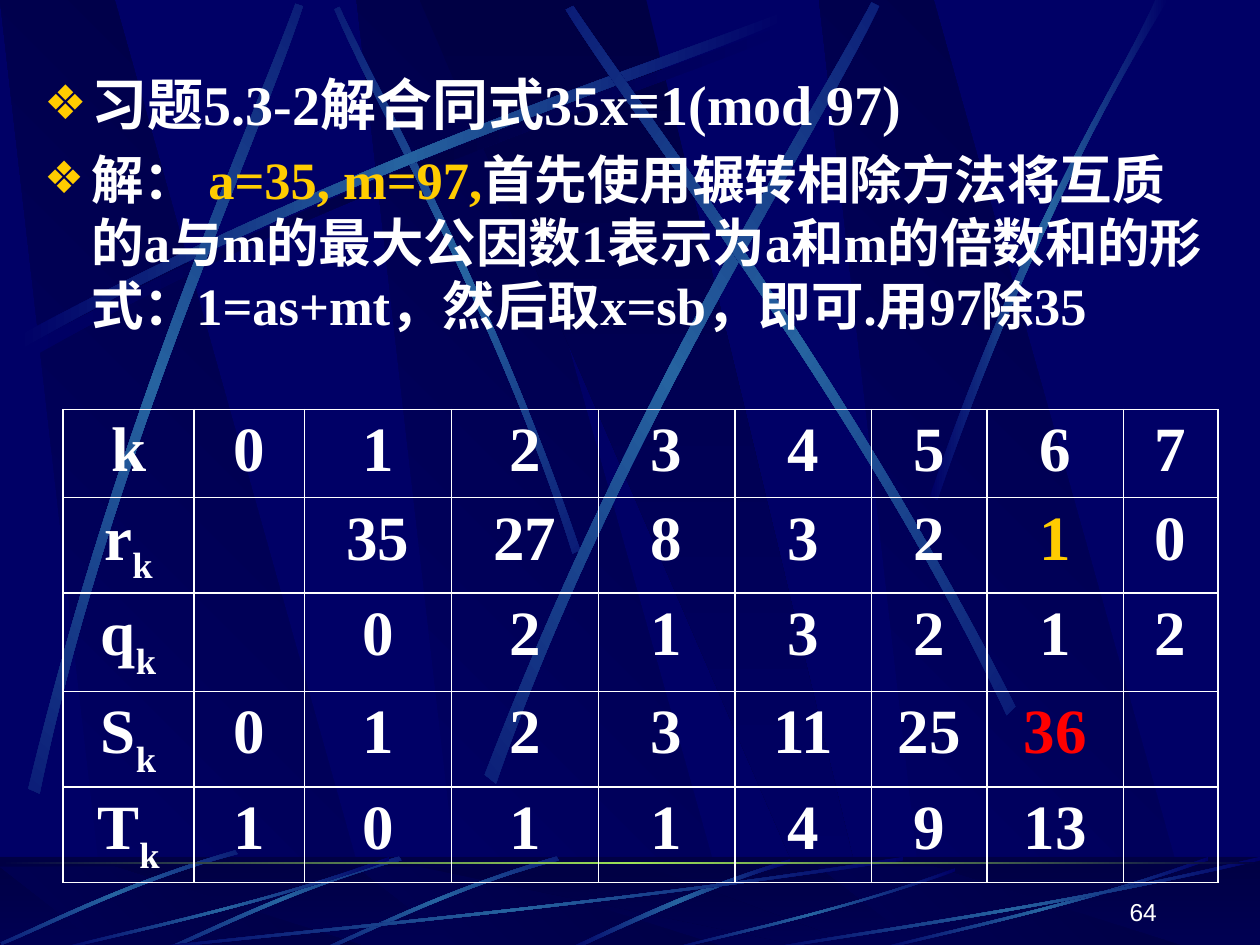
from math import cos, radians, sin

from lxml.etree import SubElement
from pptx import Presentation
from pptx.dml.color import RGBColor
from pptx.enum.shapes import MSO_SHAPE
from pptx.enum.text import MSO_ANCHOR, PP_ALIGN
from pptx.oxml import parse_xml
from pptx.oxml.ns import nsdecls, qn
from pptx.util import Inches, Pt

NAVY = RGBColor(0x00, 0x00, 0x66)
MIDNIGHT = RGBColor(0x00, 0x00, 0x44)
STEEL = RGBColor(0x26, 0x63, 0xA0)
LIME = RGBColor(0x9C, 0xE1, 0x57)
WHITE = RGBColor(0xFF, 0xFF, 0xFF)
GOLD = RGBColor(0xFF, 0xCC, 0x00)
RED = RGBColor(0xFF, 0x00, 0x00)

prs = Presentation()
prs.slide_width, prs.slide_height = Inches(10), Inches(7.5)
slide = prs.slides.add_slide(prs.slide_layouts[1])
prs.slide_master.background.fill.solid()
prs.slide_master.background.fill.fore_color.rgb = NAVY
slide.shapes.title.element.getparent().remove(slide.shapes.title.element)
exercise = slide.placeholders[1]
backdrop = slide.shapes.add_group_shape()


def paint(shape, colors, angle=0):
    shape.shadow.inherit = False
    shape.line.fill.background()
    shape.fill.background()
    step = 100000 // (len(colors) - 1)
    stops = "".join(
        f'<a:gs pos="{i * step}"><a:srgbClr val="{color}"/></a:gs>'
        for i, color in enumerate(colors)
    )
    properties = shape.element.spPr
    properties.replace(properties.find(qn("a:noFill")), parse_xml(
        f'<a:gradFill rotWithShape="1" {nsdecls("a")}><a:gsLst>{stops}</a:gsLst>'
        f'<a:lin ang="{angle * 60000}" scaled="1"/></a:gradFill>'))


def draw_outline(points, rotation=0):
    xs, ys = zip(*points)
    center_x, center_y = (min(xs) + max(xs)) / 2, (min(ys) + max(ys)) / 2
    c, s = cos(radians(rotation)), sin(radians(rotation))
    level = [
        (Inches(center_x + (x - center_x) * c + (y - center_y) * s),
         Inches(center_y - (x - center_x) * s + (y - center_y) * c))
        for x, y in points
    ]
    builder = backdrop.shapes.build_freeform(*level[0])
    builder.add_line_segments(level[1:], close=True)
    outline = builder.convert_to_shape()
    outline.rotation = rotation
    return outline


wide_arc = [(0.14, 2.67), (2.78, 1.25), (5.18, 0.51), (6.2, 0.1),
            (6.23, 0.16), (5.22, 0.61), (2.48, 1.43), (0.17, 2.77)]
upper_streaks = [
    (MIDNIGHT, 0, [(x + 0.06, y + 0.08) for x, y in wide_arc]),
    (STEEL, 45, [(4.6, 4.36), (3.91, 2.34), (3.02, 0.77), (2.69, 0.05),
                 (2.65, 0.07), (2.95, 0.79), (3.98, 2.58), (4.54, 4.39)]),
    (STEEL, 0, wide_arc),
    (STEEL, 311.7, [(0.23, 6.25), (0.93, 3.34), (1.97, 1.05), (2.35, 0.02),
                    (2.41, 0.04), (2.07, 1.09), (0.86, 3.68), (0.32, 6.29)]),
    (STEEL, 321.6, [(3.85, 6.14), (4.98, 3.2), (6.38, 1.02), (6.92, 0.01),
                    (6.98, 0.04), (6.49, 1.08), (4.86, 3.55), (3.94, 6.21)]),
    (STEEL, 34.7, [(8.06, 5.6), (6.7, 2.93), (5.16, 0.95), (4.55, 0.04),
                   (4.49, 0.07), (5.07, 1.01), (6.85, 3.25), (7.99, 5.67)]),
    (STEEL, 0, [(7.38, 3.94), (8.14, 1.73), (8.88, 0.66), (9.17, 0),
                (9.27, 0), (8.36, 1.45), (7.69, 3.22), (7.44, 3.97)]),
]

short_arc = [(4.42, 6.8), (3.55, 7.05), (2.87, 7.4), (2.56, 7.53),
             (2.57, 7.55), (2.88, 7.43), (3.65, 7.03), (4.44, 6.83)]
flat_arc = [(1, 0.04), (0.57, 0.57), (0.17, 0.85), (0.01, 1),
            (0, 0.99), (0.17, 0.81), (0.62, 0.51), (1, 0)]
lower_streaks = [
    (STEEL, 0, [(6.27, 6.82), (5.37, 7.09), (4.77, 7.42), (4.48, 7.54),
                (4.53, 7.55), (4.9, 7.38), (5.71, 7), (6.28, 6.85)]),
]
for shift, lift in [(0, 0), (1.25, 0), (2.55, 0.05)]:
    lower_streaks.append((STEEL, 315, [(x - shift, y - lift) for x, y in short_arc]))
for left, top, width in [(1, 6.8, 6.17), (0.42, 6.8, 2.67), (5.27, 6.89, 2.31),
                         (6.92, 6.8, 2.67), (6, 6.8, 4)]:
    lower_streaks.append(
        (STEEL, 0, [(left + x * width, top + y * (7.55 - top)) for x, y in flat_arc]))

for top, bottom, streaks in [(0, 7.52, upper_streaks), (6.88, 7.55, lower_streaks)]:
    if top:
        floor = backdrop.shapes.add_shape(
            MSO_SHAPE.RECTANGLE, 0, Inches(6.8), Inches(10), Inches(0.75))
        paint(floor, [MIDNIGHT, NAVY], 90)
    for left in (2.83, 0, 6.5):
        panel = draw_outline([(left + 0.86, bottom), (left + 3.02, bottom),
                              (left + 0.91, top), (left, top)])
        paint(panel, [NAVY, MIDNIGHT], 315)
    middle_panel = draw_outline([(3.33, top), (6.58, bottom), (6.94, bottom), (5.13, top)])
    paint(middle_panel, [MIDNIGHT, NAVY], 90)
    if top:
        shade = backdrop.shapes.add_shape(
            MSO_SHAPE.RECTANGLE, 0, Inches(6.8), Inches(10), Inches(0.75))
        shade.shadow.inherit = False
        shade.line.fill.background()
        shade.fill.solid()
        shade.fill.fore_color.rgb = MIDNIGHT
        shade_color = shade.element.spPr.find(qn("a:solidFill"))[0]
        SubElement(shade_color, qn("a:alpha")).set("val", "50000")
    for glow, rotation, arc in streaks:
        streak = draw_outline(arc, rotation)
        sides = list(streak.element.iter(qn("a:lnTo")))
        for first, second, third in (sides[:3], sides[4:]):
            curve = parse_xml(f'<a:cubicBezTo {nsdecls("a")}/>')
            first.addprevious(curve)
            for side in (first, second, third):
                curve.append(side[0])
                side.getparent().remove(side)
        paint(streak, [NAVY, glow, NAVY])

horizon = backdrop.shapes.add_shape(
    MSO_SHAPE.RECTANGLE, 0, Inches(6.84), Inches(10), Inches(0.02))
paint(horizon, [MIDNIGHT, LIME, MIDNIGHT])
prs.slide_master.shapes._spTree.insert(2, backdrop.element)

exercise.left, exercise.top = Inches(0.25), Inches(0.5)
exercise.width, exercise.height = Inches(9.42), Inches(6.33)
exercise.text_frame.vertical_anchor = MSO_ANCHOR.TOP
statements = [
    (32, [("习题5.3-2解合同式35x≡1(mod 97)", WHITE)]),
    (30, [("解： ", WHITE), ("a=35, m=97,", GOLD),
          ("首先使用辗转相除方法将互质的a与m的最大公因数1表示为a和m的倍数和的形式："
           "1=as+mt，然后取x=sb，即可.用97除35", WHITE)]),
]
for i, (size, parts) in enumerate(statements):
    statement = exercise.text_frame.paragraphs[0] if i == 0 else exercise.text_frame.add_paragraph()
    properties = statement._p.get_or_add_pPr()
    properties.set("marL", str(Inches(3 / 8)))
    properties.set("indent", str(-Inches(3 / 8)))
    for bullet in (f'<a:buClr {nsdecls("a")}><a:srgbClr val="{GOLD}"/></a:buClr>',
                   f'<a:buSzPct {nsdecls("a")} val="85000"/>',
                   f'<a:buFont {nsdecls("a")} typeface="Arial"/>',
                   f'<a:buChar {nsdecls("a")} char="❖"/>'):
        properties.append(parse_xml(bullet))
    statement.font.size, statement.font.bold = Pt(size), True
    statement.font.name = "Times New Roman"
    for words, color in parts:
        part = statement.add_run()
        part.text = words
        part.font.color.rgb = color

steps = [
    ["k", "0", "1", "2", "3", "4", "5", "6", "7"],
    ["r", "", "35", "27", "8", "3", "2", "1", "0"],
    ["q", "", "0", "2", "1", "3", "2", "1", "2"],
    ["S", "0", "1", "2", "3", "11", "25", "36", ""],
    ["T", "1", "0", "1", "1", "4", "9", "13", ""],
]
highlights = {(1, 7): GOLD, (3, 7): RED}
division = slide.shapes.add_table(
    5, 9, Inches(0.5), Inches(3.25), Inches(110 / 12), Inches(3.58)).table
for column, twelfths in zip(division.columns, [12.5, 10.5, 14, 14, 13, 13, 11, 13, 9]):
    column.width = Inches(twelfths / 12)
for row, height in zip(division.rows, [0.7, 0.7, 0.78, 0.7, 0.7]):
    row.height = Inches(height)
for r, values in enumerate(steps):
    for c, value in enumerate(values):
        cell = division.cell(r, c)
        cell.fill.background()
        for i, side in enumerate(("lnL", "lnR", "lnT", "lnB")):
            cell._tc.tcPr.insert(i, parse_xml(
                f'<a:{side} {nsdecls("a")} w="12700"><a:solidFill>'
                f'<a:srgbClr val="{WHITE}"/></a:solidFill></a:{side}>'))
        if not value:
            continue
        entry = cell.text_frame.paragraphs[0]
        entry.alignment = PP_ALIGN.CENTER
        entry.font.size, entry.font.bold = Pt(36), True
        entry.font.name = "Times New Roman"
        entry.font.color.rgb = highlights.get((r, c), WHITE)
        entry.add_run().text = value
        if c == 0 and r > 0:
            subscript = entry.add_run()
            subscript.text = "k"
            subscript.font._element.set("baseline", "-30000")

page = slide.shapes.add_textbox(Inches(7.2), Inches(6.9), Inches(2.08), Inches(0.5)).text_frame
page.word_wrap = True
page.vertical_anchor = MSO_ANCHOR.BOTTOM
number = page.paragraphs[0]
number.text = "64"
number.alignment = PP_ALIGN.RIGHT
number.font.size, number.font.name = Pt(14), "Arial"
number.font.color.rgb = WHITE

prs.save("out.pptx")
